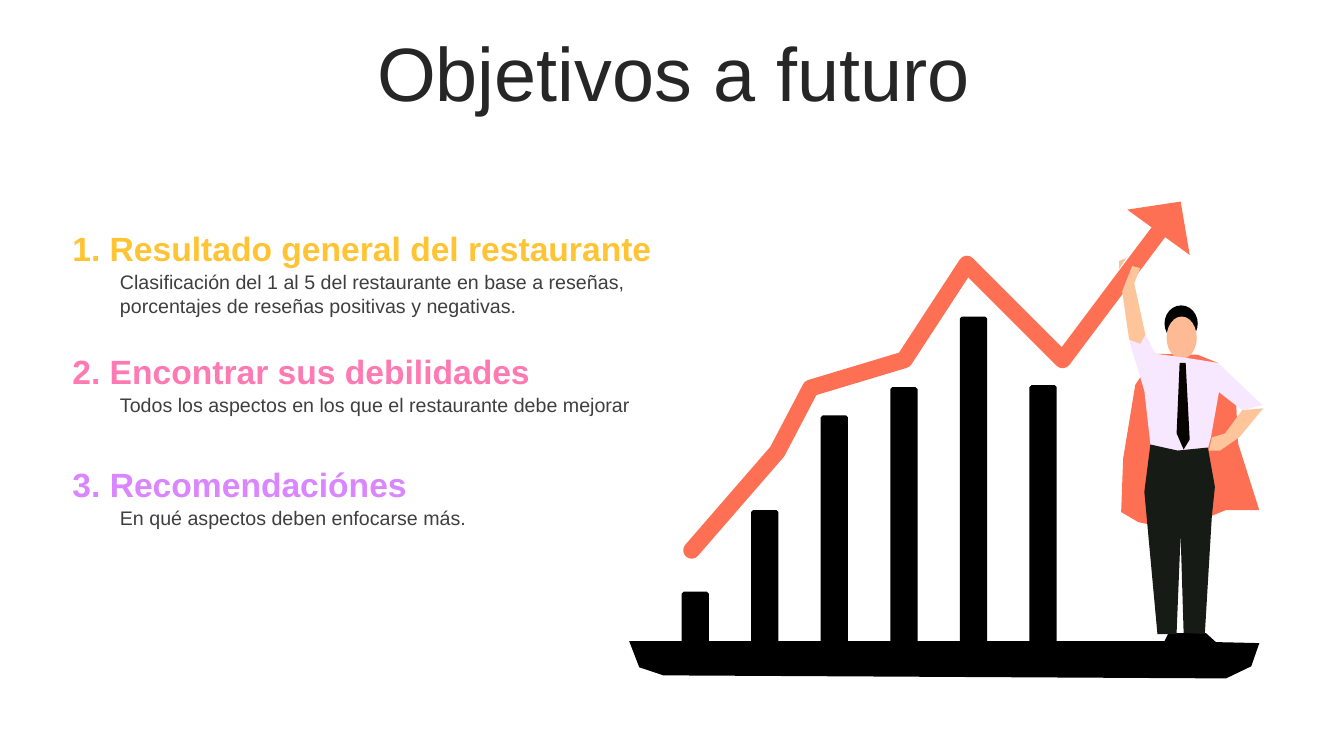
import lxml.etree
import pptx
import pptx.util
import pptx.dml.color
import pptx.enum.shapes
import pptx.enum.text
import pptx.oxml.ns

PX = 9144
FONT = "Arial"
GREY = "3F3F3F"
CORAL = "FE7054"
BLACK = "000000"
SKIN = "FEC49A"

GOALS = [
    ("1. Resultado general del restaurante", "FEC434", 221, 630,
     "Clasificación del 1 al 5 del restaurante en base a reseñas, "
     "porcentajes de reseñas positivas y negativas."),
    ("2. Encontrar sus debilidades", "FF79B2", 343, 630,
     "Todos los aspectos en los que el restaurante debe mejorar"),
    ("3. Recomendaciónes", "DA87FF", 455, 449,
     "En qué aspectos deben enfocarse más."),
]

TREND = [(86, 346), (171, 248), (204, 185), (297, 157), (359, 62),
         (454, 157), (550, 29)]
TIP = [(518, 8), (571, 0), (580, 53)]
TOPS = [387, 306, 212, 184, 114, 182]
HULL = [(555, 436), (559, 428), (596, 428), (606, 437), (649, 438),
        (641, 461), (616, 473), (58, 470), (34, 462), (24, 436)]

CAPE = [(108, 160), (88, 152), (46, 151), (26, 182), (14, 255), (12, 308),
        (29, 318), (67, 326), (116, 306), (149, 306), (128, 240), (126, 198)]
SHIRT = [(101, 234), (109, 189), (132, 207), (152, 202), (108, 160),
         (76, 155), (46, 151), (36, 132), (20, 138), (35, 188), (41, 241),
         (68, 248), (98, 245)]
ARM = [(36, 132), (31, 141), (20, 137), (13, 89), (23, 64), (31, 66),
       (25, 81)]
HAND = [(17, 56), (10, 67), (10, 59)]
TIE = [(67, 230), (70, 160), (76, 160), (80, 236), (74, 246)]
ELBOW = [(153, 205), (132, 207), (115, 230), (102, 234), (99, 247),
         (110, 247), (129, 234)]
LEGS = [(105, 283), (98, 244), (68, 247), (41, 241), (35, 288), (48, 429),
        (67, 429), (71, 330), (74, 428), (95, 429), (102, 312)]


def color(code):
    """Turn a hex string into a colour."""
    return pptx.dml.color.RGBColor.from_string(code)


def label(slide, box, text, size, code, bold=False, inset=10):
    """Place styled text in a box and return its frame."""
    frame = slide.shapes.add_textbox(*[n * PX for n in box]).text_frame
    frame.word_wrap = True
    frame.margin_left = frame.margin_right = inset * PX
    frame.margin_top = frame.margin_bottom = 5 * PX
    frame.text = text
    font = frame.paragraphs[0].runs[0].font
    font.name = FONT
    font.size = pptx.util.Pt(size)
    font.bold = bold
    font.color.rgb = color(code)
    return frame


def paint(shape, code):
    """Fill a shape with a flat colour and no outline."""
    shape.fill.solid()
    shape.fill.fore_color.rgb = color(code)
    shape.line.fill.background()
    shape.shadow.inherit = False


def trace(slide, left, top, points, close=True):
    """Build an outline from points relative to a corner."""
    pen = slide.shapes.build_freeform(*points[0], scale=float(PX))
    pen.add_line_segments(points[1:], close=close)
    return pen.convert_to_shape(left * PX, top * PX)


def oval(slide, box, code):
    """Draw a flat oval in a box."""
    kind = pptx.enum.shapes.MSO_SHAPE.OVAL
    paint(slide.shapes.add_shape(kind, *[n * PX for n in box]), code)


def title(slide, box):
    """Write the centred title in its box."""
    frame = label(slide, box, "Objetivos a futuro", 54, "262626")
    frame.vertical_anchor = pptx.enum.text.MSO_ANCHOR.MIDDLE
    para = frame.paragraphs[0]
    para.alignment = pptx.enum.text.PP_ALIGN.CENTER
    para.line_spacing = 0.9


def goal(slide, box, head, code, body):
    """Write a coloured heading with its indented text below."""
    left, top, width, height = box
    label(slide, (left + 49, top + 42, width - 49, height - 42), body, 14,
          GREY, inset=8)
    label(slide, (left, top, width, 50), head, 24, code, bold=True)


def growth(slide, left, top):
    """Draw the rising arrow and the bars on their base."""
    trend = trace(slide, left, top, TREND, close=False)
    trend.fill.background()
    trend.shadow.inherit = False
    trend.line.color.rgb = color(CORAL)
    trend.line.width = pptx.util.Pt(12)
    stroke = trend.line._get_or_add_ln()
    stroke.set("cap", "rnd")
    lxml.etree.SubElement(stroke, pptx.oxml.ns.qn("a:round"))
    paint(trace(slide, left, top, TIP), CORAL)
    bars = []
    for i, peak in enumerate(TOPS):
        x = 76 + 69 * i
        bars += [(x, 436), (x, peak + 2), (x + 2, peak), (x + 25, peak),
                 (x + 27, peak + 2), (x + 27, 436)]
    paint(trace(slide, left, top, bars + HULL), BLACK)


def hero(slide, left, top):
    """Draw the caped man from back to front."""
    paint(trace(slide, left, top, CAPE), CORAL)
    oval(slide, (left + 55, top + 103, 33, 36), "010101")
    oval(slide, (left + 57, top + 114, 30, 42), "FEBA95")
    parts = [(SHIRT, "F7E7FF"), (ARM, SKIN), (HAND, "F1C499"),
             (TIE, "070400"), (ELBOW, SKIN), (LEGS, "171B15")]
    for points, code in parts:
        paint(trace(slide, left, top, points), code)


def main():
    """Build the slide and save it."""
    deck = pptx.Presentation()
    deck.slide_width, deck.slide_height = 1333 * PX, 750 * PX
    slide = deck.slides.add_slide(deck.slide_layouts[6])
    title(slide, (35, 37, 1266, 79))
    for head, code, top, width, body in GOALS:
        goal(slide, (62, top, width, 99), head, code, body)
    growth(slide, 600, 200)
    hero(slide, 1100, 200)
    deck.save("out.pptx")


if __name__ == "__main__":
    main()
